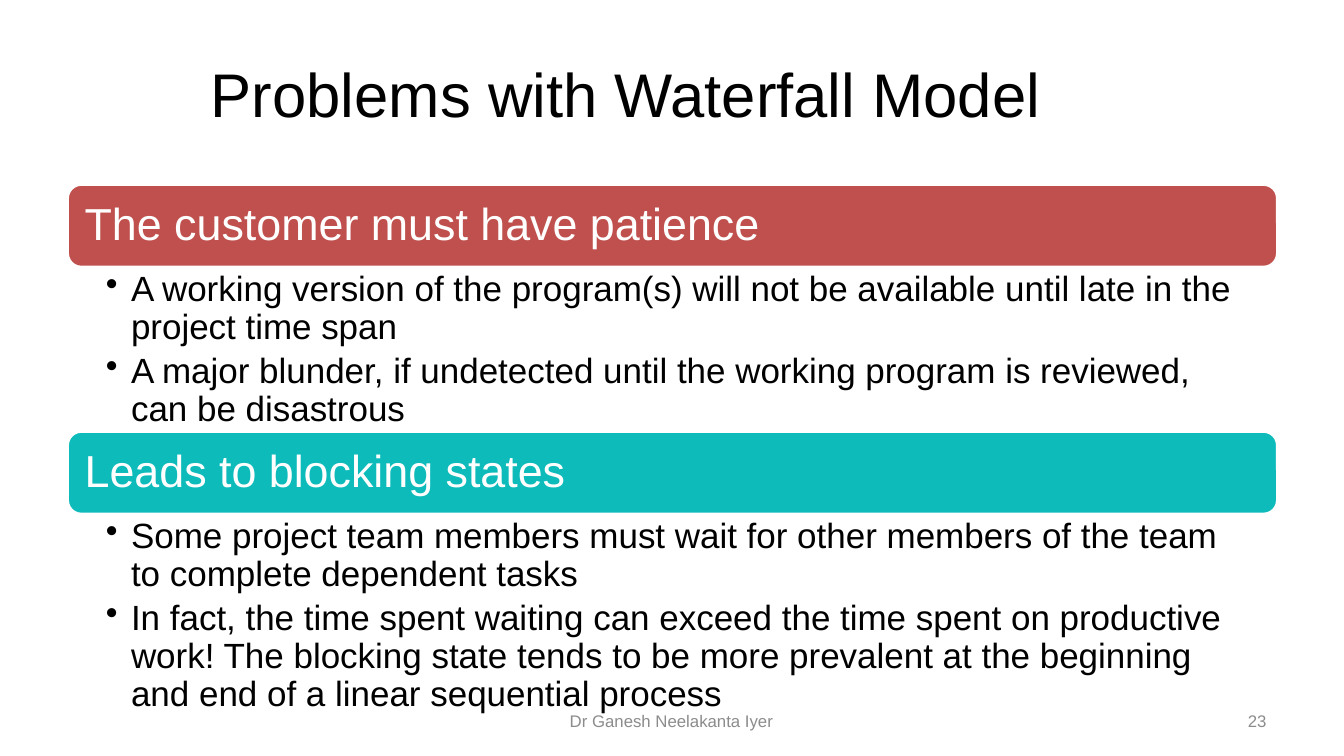
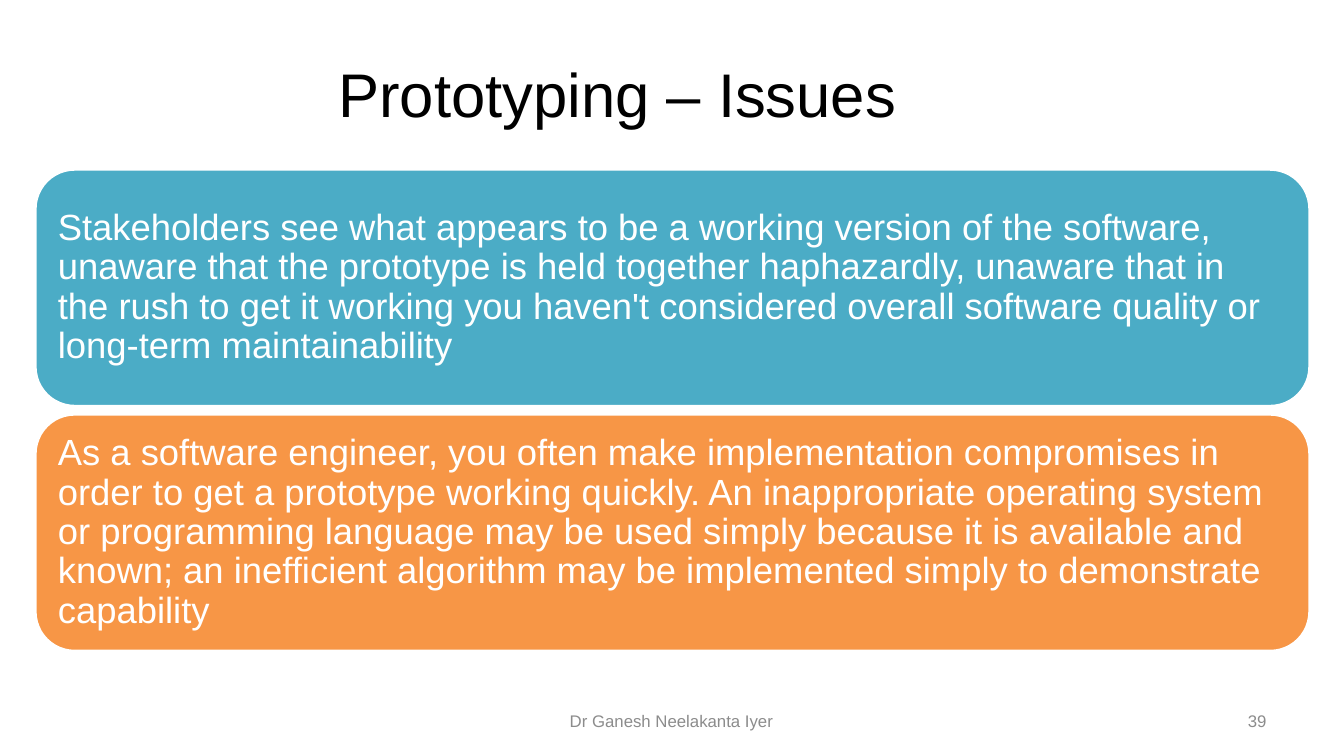
import dataclasses

import pptx
import pptx.dml.color
import pptx.enum.shapes
import pptx.enum.text
import pptx.oxml.ns
import pptx.util
from lxml import etree

ALIGN = pptx.enum.text.PP_ALIGN
ANCHOR = pptx.enum.text.MSO_ANCHOR
SHAPE = pptx.enum.shapes.MSO_SHAPE


# Theme: colours, font and type sizes
@dataclasses.dataclass(frozen=True)
class Theme:
    font: str = "Arial"
    white: str = "FFFFFF"
    black: str = "000000"
    grey: str = "8C8C8C"
    red: str = "C0504D"
    teal: str = "0DBBBB"
    blue: str = "4BACC6"
    orange: str = "F79646"
    title: int = 44
    head: int = 32
    card: int = 26
    body: int = 25
    foot: int = 12


THEME = Theme()
AUTHOR = "Dr Ganesh Neelakanta Iyer"


def px(n):
    """100 px to the inch."""
    return pptx.util.Emu(n * 9144)


def rgb(code):
    return pptx.dml.color.RGBColor.from_string(code)


# Text
def bullet(para, indent):
    props = para._p.get_or_add_pPr()
    props.set("marL", str(px(indent)))
    props.set("indent", str(-px(indent)))
    mark = etree.SubElement(props, pptx.oxml.ns.qn("a:buChar"))
    mark.set("char", "•")


def write(shape, *lines, size, color=THEME.black, align=ALIGN.LEFT,
          anchor=ANCHOR.MIDDLE, inset=(10, 5, 10, 5), space=1.0,
          after=0, indent=0):
    frame = shape.text_frame
    frame.word_wrap = True
    frame.vertical_anchor = anchor
    (frame.margin_left, frame.margin_top,
     frame.margin_right, frame.margin_bottom) = map(px, inset)
    for i, line in enumerate(lines):
        para = frame.paragraphs[0] if i == 0 else frame.add_paragraph()
        para.alignment = align
        para.line_spacing = space
        para.space_after = pptx.util.Pt(after)
        if indent:
            bullet(para, indent)
        run = para.add_run()
        run.text = line
        run.font.name = THEME.font
        run.font.size = pptx.util.Pt(size)
        run.font.color.rgb = rgb(color)


def label(slide, box, *lines, **form):
    write(slide.shapes.add_textbox(*map(px, box)), *lines, **form)


# Rounded band with white text
def band(slide, box, text, fill, size, pad):
    shape = slide.shapes.add_shape(SHAPE.ROUNDED_RECTANGLE, *map(px, box))
    shape.shadow.inherit = False
    shape.fill.solid()
    shape.fill.fore_color.rgb = rgb(fill)
    shape.line.color.rgb = rgb(THEME.white)
    shape.line.width = pptx.util.Pt(2)
    write(shape, text, size=size, color=THEME.white, inset=(pad,) * 4,
          space=0.9)


# Title and footer on every slide
def page(deck, title, number):
    slide = deck.slides.add_slide(deck.slide_layouts[6])
    label(slide, (67, 30, 1108, 125), title, size=THEME.title,
          align=ALIGN.CENTER)
    foot = {"size": THEME.foot, "color": THEME.grey}
    label(slide, (455, 695, 422, 40), AUTHOR, align=ALIGN.CENTER, **foot)
    label(slide, (955, 695, 311, 40), str(number), align=ALIGN.RIGHT, **foot)
    return slide


# Bands with bullets below, stacked without gaps
def topics(slide, items):
    left, top, width, tall = 67, 183, 1200, 82
    for head, fill, deep, points in items:
        band(slide, (left, top, width, tall), head, fill, THEME.head, 13)
        top += tall
        label(slide, (left, top, width, deep), *points, size=THEME.body,
              anchor=ANCHOR.TOP, inset=(38, 4, 25, 4), space=0.9, after=5,
              indent=25)
        top += deep


# Large cards at equal gaps
def cards(slide, items):
    tall, gap = 235, 8
    for i, (text, fill) in enumerate(items):
        box = (35, 168 + i * (tall + gap), 1264, tall)
        band(slide, box, text, fill, THEME.card, 11)


def main():
    deck = pptx.Presentation()
    deck.slide_width, deck.slide_height = px(1333), px(750)

    topics(page(deck, "Problems with Waterfall Model", 23), [
        ("The customer must have patience", THEME.red, 163, [
            "A working version of the program(s) will not be available "
            "until late in the project time span",
            "A major blunder, if undetected until the working program is "
            "reviewed, can be disastrous",
        ]),
        ("Leads to blocking states", THEME.teal, 199, [
            "Some project team members must wait for other members of the "
            "team to complete dependent tasks",
            "In fact, the time spent waiting can exceed the time spent on "
            "productive work! The blocking state tends to be more prevalent "
            "at the beginning and end of a linear sequential process",
        ]),
    ])

    cards(page(deck, "Prototyping – Issues ", 39), [
        ("Stakeholders see what appears to be a working version of the "
         "software, unaware that the prototype is held together haphazardly, "
         "unaware that in the rush to get it working you haven't considered "
         "overall software quality or long-term maintainability",
         THEME.blue),
        ("As a software engineer, you often make implementation compromises "
         "in order to get a prototype working quickly. An inappropriate "
         "operating system or programming language may be used simply "
         "because it is available and known; an inefficient algorithm may be "
         "implemented simply to demonstrate capability",
         THEME.orange),
    ])

    deck.save("out.pptx")


if __name__ == "__main__":
    main()
